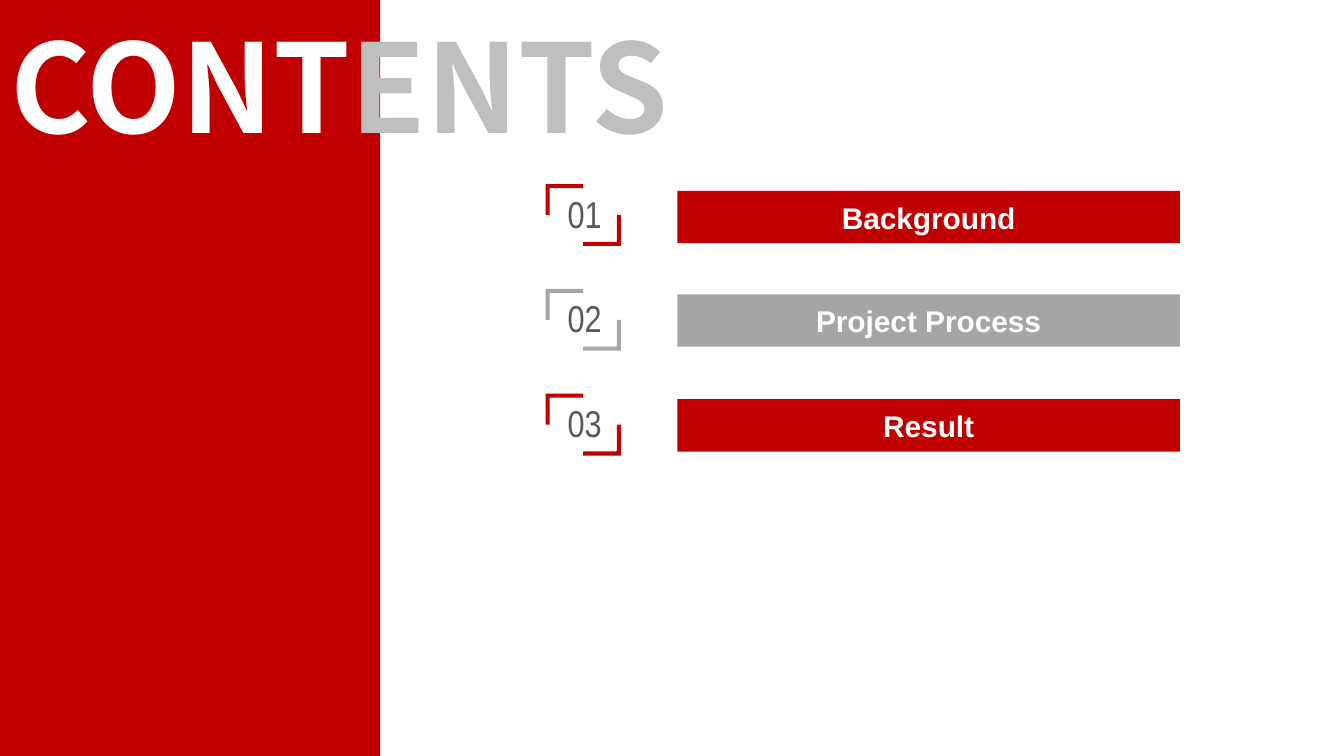
from pptx import Presentation
from pptx.dml.color import RGBColor
from pptx.enum.shapes import MSO_SHAPE
from pptx.enum.text import MSO_ANCHOR, MSO_AUTO_SIZE, PP_ALIGN
from pptx.util import Inches, Pt

RED, GREY = "C00000", "A5A5A5"
ROW_TOP, ROW_PITCH = 1.37, 0.78
MARK_LEFT, MARK_W, MARK_H = 4.06, 0.56, 0.46
BAR_LEFT, BAR_W, BAR_H = 5.04, 3.74, 0.39


def paint(sp, color):
    """Give a shape a solid fill with no outline or shadow."""
    sp.shadow.inherit = False
    sp.fill.solid()
    sp.fill.fore_color.rgb = RGBColor.from_string(color)
    sp.line.fill.background()


def add_run(p, text, color, **font):
    r = p.add_run()
    r.text = text
    r.font.color.rgb = RGBColor.from_string(color)
    for name, value in font.items():
        setattr(r.font, name, value)


prs = Presentation()
prs.slide_width = Inches(10)
prs.slide_height = prs.slide_width * 9 // 16
s = prs.slides.add_slide(prs.slide_layouts[5])

# Title across the edge of the red band
title = s.shapes.title
box = {"left": -0.02, "top": 0.03, "width": 5.4, "height": 1.21}
for name, value in box.items():
    setattr(title, name, Inches(value))
tf = title.text_frame
tf.vertical_anchor = MSO_ANCHOR.TOP
tf.auto_size = MSO_AUTO_SIZE.SHAPE_TO_FIT_TEXT
p = tf.paragraphs[0]
p.alignment = PP_ALIGN.LEFT
for text, color in (("CONT", "FFFFFF"), ("ENTS", "BFBFBF")):
    add_run(p, text, color, size=Pt(66), name="Noto Sans CJK SC", bold=True)

band = s.shapes.add_shape(MSO_SHAPE.RECTANGLE, 0, 0, Inches(2.83), prs.slide_height)
paint(band, RED)
title.element.addprevious(band.element)

# One row per section: bar and numbered corner mark
corner = [(0, 0), (0.28, 0), (0.28, 0.03), (0.03, 0.03), (0.03, 0.23), (0, 0.23)]
opposite = [(MARK_W - x, MARK_H - y) for x, y in corner]
sections = [("Background", RED, 1.42), ("Project Process", GREY, 2.19), ("Result", RED, 2.97)]

for i, (name, color, bar_top) in enumerate(sections):
    top = ROW_TOP + i * ROW_PITCH

    bar = s.shapes.add_shape(MSO_SHAPE.RECTANGLE, Inches(BAR_LEFT), Inches(bar_top),
                             Inches(BAR_W), Inches(BAR_H))
    paint(bar, color)
    tf = bar.text_frame
    tf.vertical_anchor = MSO_ANCHOR.MIDDLE
    p = tf.paragraphs[0]
    p.alignment = PP_ALIGN.CENTER
    add_run(p, name, "FFFFFF", size=Pt(16), name="Arial", bold=True)

    group = s.shapes.add_group_shape()
    first, second = ([(Inches(MARK_LEFT + x), Inches(top + y)) for x, y in points]
                     for points in (corner, opposite))
    outline = group.shapes.build_freeform(*first[0])
    outline.add_line_segments(first[1:], close=True)
    outline.move_to(*second[0])
    outline.add_line_segments(second[1:], close=True)
    paint(outline.convert_to_shape(), color)

    number = group.shapes.add_textbox(Inches(MARK_LEFT + 0.02), Inches(top),
                                      Inches(0.54), Inches(0.44))
    tf = number.text_frame
    tf.word_wrap = True
    tf.auto_size = MSO_AUTO_SIZE.SHAPE_TO_FIT_TEXT
    p = tf.paragraphs[0]
    p.alignment = PP_ALIGN.CENTER
    add_run(p, f"{i + 1:02d}", "595959", size=Pt(20), name="Arial Narrow")

prs.save("out.pptx")
